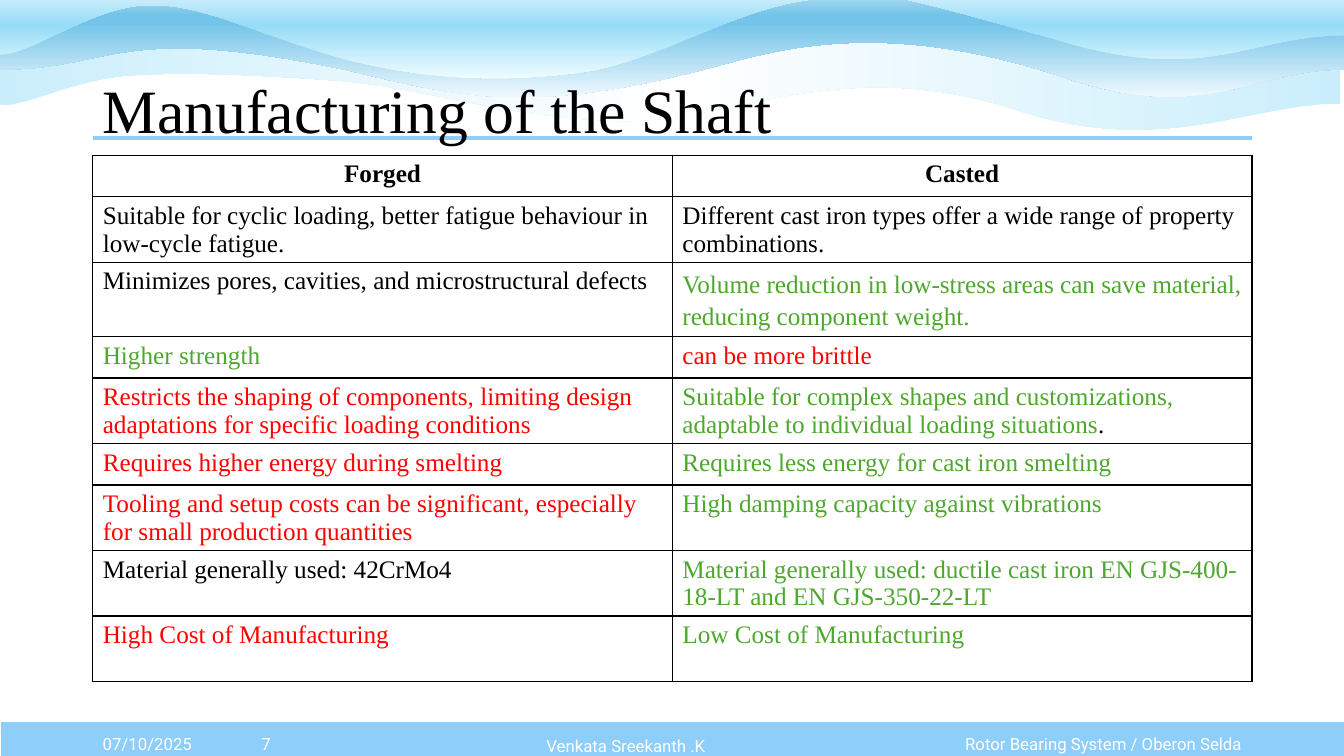
import pptx
import pptx.dml.color
import pptx.enum.shapes
import pptx.enum.text
import pptx.oxml
import pptx.oxml.ns
import pptx.util

ALIGN = pptx.enum.text.PP_ALIGN
SERIF, SANS = "Times New Roman", "Roboto"
BLACK, WHITE, SKY = "000000", "FFFFFF", "8ECEFA"
GOOD, BAD = "4EA72E", "FF0000"
COLUMNS, ROWS = 40 / 3, 7.5
MARGIN, CONTENT = 0.92, 11.5


def colour(hex_code):
    """Turn a hex string into a colour."""
    return pptx.dml.color.RGBColor.from_string(hex_code)


def drawing_xml(text):
    """Parse one element of the drawing namespace."""
    return pptx.oxml.parse_xml(text.replace(" ", f" {pptx.oxml.ns.nsdecls('a')} ", 1))


class Deck:
    """Draws styled elements on a grid of columns and rows."""

    def __init__(self):
        """Open a presentation with one blank slide."""
        self.presentation = pptx.Presentation()
        self.presentation.slide_width = pptx.util.Inches(COLUMNS)
        self.presentation.slide_height = pptx.util.Inches(ROWS)
        self.slide = self.presentation.slides.add_slide(self.presentation.slide_layouts[6])
        self.shapes = self.slide.shapes

    def across(self, columns):
        """Convert grid columns to a length."""
        return round(self.presentation.slide_width * columns / COLUMNS)

    def down(self, rows):
        """Convert grid rows to a length."""
        return round(self.presentation.slide_height * rows / ROWS)

    def place(self, left, top, width, height):
        """Convert a grid area to lengths."""
        return self.across(left), self.down(top), self.across(width), self.down(height)

    def wave(self, top, depth, edge, stops, angle):
        """Draw a band from a straight top down to a curved edge."""
        outline = edge + [(edge[-1][0], top), (edge[0][0], top)]
        points = [(self.across(x), self.down(y)) for x, y in outline]
        builder = self.shapes.build_freeform(*points[0])
        builder.add_line_segments(points[1:])
        band = builder.convert_to_shape()
        self.bend(band, len(edge) - 1, self.down(depth))
        band.shadow.inherit = False
        band.line.fill.background()
        band.fill.gradient()
        band.fill.gradient_angle = angle
        stop_list = band._element.spPr.find(".//" + pptx.oxml.ns.qn("a:gsLst"))
        for stop in list(stop_list):
            stop_list.remove(stop)
        for share, shade in stops:
            stop_list.append(drawing_xml(
                f'<a:gs pos="{share * 1000}"><a:srgbClr val="{shade}"/></a:gs>'))

    def bend(self, band, count, height):
        """Join each three of the first segments into one cubic curve."""
        outline = band._element.spPr.find(".//" + pptx.oxml.ns.qn("a:path"))
        segments = outline.findall(pptx.oxml.ns.qn("a:lnTo"))[:count]
        for i in range(0, count, 3):
            curve = drawing_xml("<a:cubicBezTo />")
            segments[i].addprevious(curve)
            for segment in segments[i:i + 3]:
                curve.append(segment[0])
                outline.remove(segment)
        outline.set("h", str(height))
        band.height = height

    def bar(self, left, top, width, height):
        """Draw a filled bar with a white outline."""
        bar = self.shapes.add_shape(pptx.enum.shapes.MSO_SHAPE.RECTANGLE,
                                    *self.place(left, top, width, height))
        bar.shadow.inherit = False
        bar.fill.solid()
        bar.fill.fore_color.rgb = colour(SKY)
        bar.line.color.rgb = colour(WHITE)
        bar.line.width = pptx.util.Pt(1.5)

    def rule(self, left, top, width):
        """Draw a horizontal rule."""
        y = self.down(top)
        rule = self.shapes.add_connector(pptx.enum.shapes.MSO_CONNECTOR.STRAIGHT,
                                         self.across(left), y, self.across(left + width), y)
        rule.line.color.rgb = colour(SKY)
        rule.line.width = pptx.util.Pt(3)
        rule._element.spPr.append(drawing_xml("<a:effectLst />"))

    def style(self, paragraph, size, face, shade, align=ALIGN.LEFT, bold=False):
        """Set the font and alignment of a paragraph."""
        paragraph.alignment = align
        font = paragraph.font
        font.size, font.name, font.bold = pptx.util.Pt(size), face, bold
        font.color.rgb = colour(shade)

    def text(self, words, area, size, face, shade, align=ALIGN.LEFT, spacing=None):
        """Write one vertically centred paragraph."""
        frame = self.shapes.add_textbox(*self.place(*area)).text_frame
        frame.word_wrap = True
        frame.vertical_anchor = pptx.enum.text.MSO_ANCHOR.MIDDLE
        paragraph = frame.paragraphs[0]
        paragraph.text = words
        paragraph.line_spacing = spacing
        self.style(paragraph, size, face, shade, align)

    def cell(self, cell, runs, heading, spacing):
        """Fill a bordered table cell with coloured runs."""
        for side in "LRTB":
            cell._tc.get_or_add_tcPr().append(drawing_xml(
                f'<a:ln{side} w="12700"><a:solidFill><a:srgbClr val="{BLACK}"/>'
                f'</a:solidFill></a:ln{side}>'))
        cell.fill.background()
        cell.margin_bottom = 0
        paragraph = cell.text_frame.paragraphs[0]
        paragraph.line_spacing = spacing
        for words, shade in runs:
            run = paragraph.add_run()
            run.text = words
            if len(runs) > 1:
                run.font.color.rgb = colour(shade)
        self.style(paragraph, 18, SERIF, runs[0][1],
                   ALIGN.CENTER if heading else ALIGN.LEFT, heading)

    def table(self, left, top, width, rows):
        """Draw a two-column comparison whose first row is a heading."""
        heights = [row[0] for row in rows]
        table = self.shapes.add_table(len(rows), 2,
                                      *self.place(left, top, width, sum(heights))).table
        table.first_row = table.horz_banding = False
        for column in table.columns:
            column.width = self.across(width / 2)
        for r, (height, *sides) in enumerate(rows):
            table.rows[r].height = self.down(height)
            for c, runs in enumerate(sides):
                roomy = runs[0][0].startswith("Volume")
                self.cell(table.cell(r, c), runs, r == 0, 1.15 if roomy else None)


BACK_EDGE = [(13.3, 1.03), (12.37, 1.02), (11.52, 1.59), (9.99, 1.06), (8.27, 0.54),
             (7.21, 1.24), (6.1, 1.2), (4.99, 1.16), (4.21, 0.87), (3.35, 0.8),
             (2.49, 0.74), (1.83, 0.71), (1.27, 0.75), (0.71, 0.79), (0.14, 1.11),
             (-0.02, 1.03)]
MIDDLE_EDGE = [(13.33, 0.69), (12.39, 0.69), (11.96, 1.27), (10.44, 0.73), (8.71, 0.19),
               (7.73, 0.49), (7.06, 0.67), (5.28, 1.14), (4.59, 0.97), (3.46, 0.7),
               (1.13, 0.21), (1.15, 0.69), (0, 0.69)]
FRONT_EDGE = [(13.33, 0.35), (12.39, 0.35), (11.96, 0.86), (10.44, 0.38), (8.72, -0.09),
              (8.91, -0.07), (8.13, -0.01), (7.35, 0.04), (6.53, 0.62), (5.76, 0.72),
              (4.98, 0.82), (4.24, 0.79), (3.47, 0.6), (2.58, 0.36), (2.07, 0.05),
              (1.5, 0.05), (0.92, 0.04), (0.22, 0.61), (-0.03, 0.53)]
WAVES = [
    (0.3, 0.98, BACK_EDGE, [(0, "CAEEFB"), (50, WHITE), (100, "CAEEFB")], 0),
    (-0.02, 0.98, MIDDLE_EDGE,
     [(0, "A2D8F0"), (17, "74C4E9"), (26, "74C4E9"), (100, "F0F8FD")], 270),
    (-0.28, 1.06, FRONT_EDGE, [(0, WHITE), (50, "96DCF8"), (100, "EFFCFF")], 270),
]
COMPARISON = [
    (0.41, [("Forged", BLACK)], [("Casted", BLACK)]),
    (0.65, [("Suitable for cyclic loading, better fatigue behaviour in low-cycle fatigue.", BLACK)],
     [("Different cast iron types offer a wide range of property combinations.", BLACK)]),
    (0.74, [("Minimizes pores, cavities, and microstructural defects", BLACK)],
     [("Volume reduction in low-stress areas can save material, reducing component weight.", GOOD)]),
    (0.41, [("Higher strength", GOOD)], [("can be more brittle", BAD)]),
    (0.65, [("Restricts the shaping of components, limiting design adaptations "
             "for specific loading conditions", BAD)],
     [("Suitable for complex shapes and customizations, adaptable to individual "
       "loading situations", GOOD), (".", BLACK)]),
    (0.41, [("Requires higher energy during smelting", BAD)],
     [("Requires less energy for cast iron smelting", GOOD)]),
    (0.65, [("Tooling and setup costs can be significant, especially for small "
             "production quantities", BAD)],
     [("High damping capacity against vibrations", GOOD)]),
    (0.65, [("Material generally used: 42CrMo4", BLACK)],
     [("Material generally used: ductile cast iron EN GJS-400-18-LT and EN GJS-350-22-LT", GOOD)]),
    (0.65, [("High Cost of Manufacturing", BAD)], [("Low Cost of Manufacturing", GOOD)]),
]
FOOTER = [
    ("07/10/2025", MARGIN, 7.18, 1.22, ALIGN.LEFT),
    ("7", 2.13, 7.18, 1.02, ALIGN.CENTER),
    ("Venkata Sreekanth .K", 3.15, 7.2, 6.12, ALIGN.CENTER),
    ("Rotor Bearing System / Oberon Selda", 9.27, 7.18, 3.15, ALIGN.RIGHT),
]


def main():
    """Build and save the slide."""
    deck = Deck()
    deck.bar(0, 7.15, 13.35, 0.4)
    for wave in WAVES:
        deck.wave(*wave)
    deck.rule(MARGIN, 1.37, CONTENT)
    deck.text("Manufacturing of the Shaft", (MARGIN, 0.4, 11.12, 1.45), 44, SERIF, BLACK,
              spacing=0.9)
    deck.table(MARGIN, 1.54, CONTENT, COMPARISON)
    for words, left, top, width, align in FOOTER:
        deck.text(words, (left, top, width, 0.4), 12, SANS, WHITE, align)
    deck.presentation.save("out.pptx")


if __name__ == "__main__":
    main()
